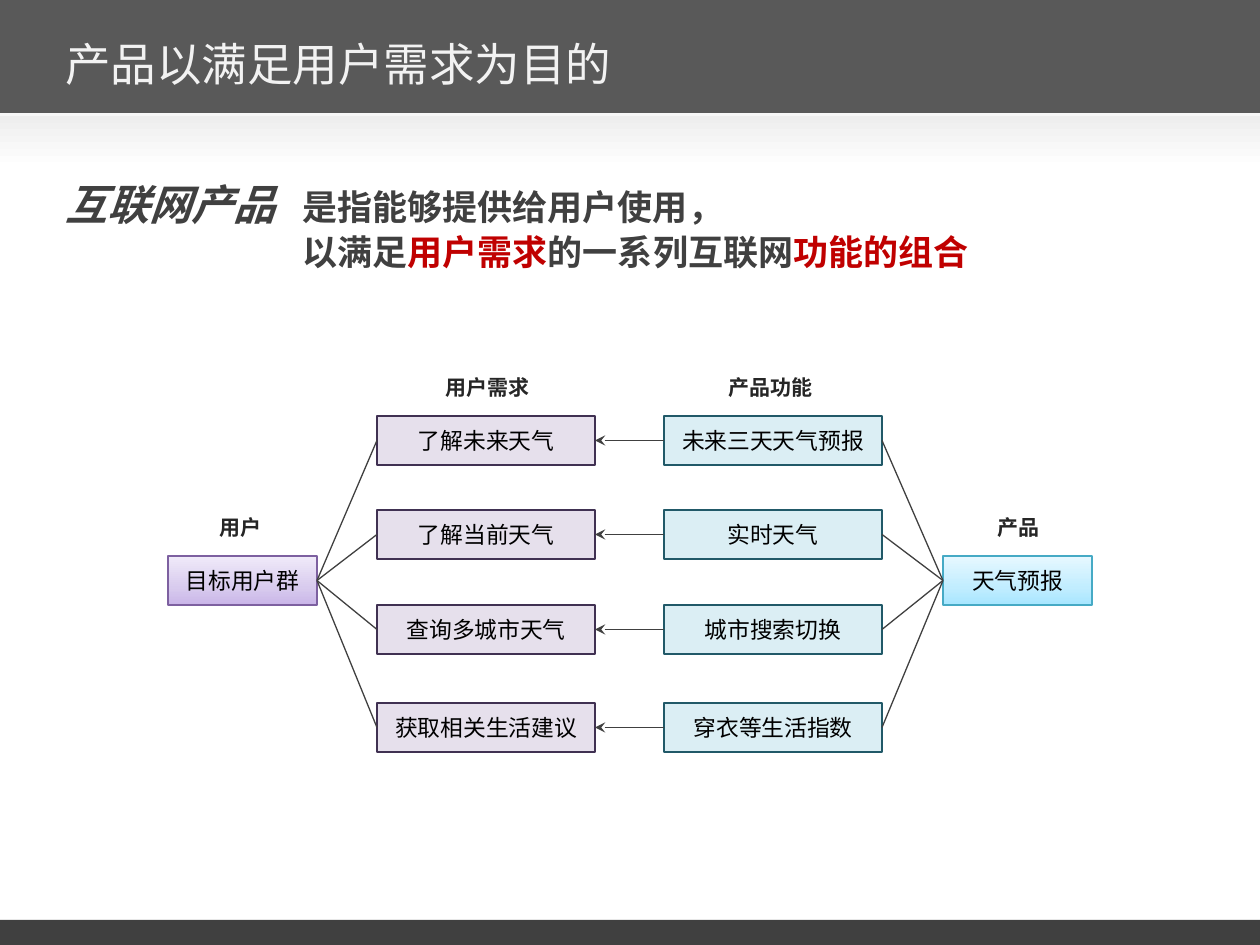
"""Build the slide on internet products serving user needs."""
import lxml.etree
import pptx
import pptx.dml.color
import pptx.enum.shapes
import pptx.enum.text
import pptx.oxml.ns
import pptx.util

PX = pptx.util.Inches(1) / 126
SANS, MONO = "Noto Sans CJK SC", "DejaVu Sans Mono"
COLORS = {
    "pale": "F7F7F7", "bar": "595959", "dark": "404040", "title": "F2F2F2",
    "label": "262626", "black": "000000", "red": "C00000",
    "need": "E6E0EC", "need_line": "403152",
    "feature": "DBEEF4", "feature_line": "215968",
    "user_line": "7D60A0", "product_line": "46AAC5",
}
SHADE = [(0, "EEEEEE"), (100, "FFFFFF")]
USER_FILL = [(0, "C9B5E8"), (35, "D8CBEE"), (100, "F0EAF9")]
PRODUCT_FILL = [(0, "A7E6FF"), (35, "C1EDFF"), (100, "E7F8FF")]

TITLE = "产品以满足用户需求为目的"
DEFINITION = [
    [("互联网产品", {"size": 24, "italic": True}), ("\t是指能够提供给用户使用，", {})],
    [("\t以满足", {}), ("用户需求", {"color": "red"}),
     ("的一系列互联网", {}), ("功能的组合", {"color": "red"})],
]
PAIRS = [
    ("了解未来天气", "未来三天天气预报"),
    ("了解当前天气", "实时天气"),
    ("查询多城市天气", "城市搜索切换"),
    ("获取相关生活建议", "穿衣等生活指数"),
]
ROW_TOPS = [416, 510, 605, 703]
NEED_LEFT, FEATURE_LEFT, BOX_WIDTH, BOX_HEIGHT = 377, 664, 218, 49
USER_LEFT, PRODUCT_LEFT, END_WIDTH, END_TOP = 168, 943, 149, 556
LABELS = [
    ("用户需求", 388, 368, 199), ("产品功能", 671, 368, 199),
    ("用户", 167, 508, 147), ("产品", 945, 508, 147),
]


def px(value):
    return round(value * PX)


def rgb(name):
    return pptx.dml.color.RGBColor.from_string(COLORS[name])


def add_child(parent, tag, **attributes):
    return lxml.etree.SubElement(parent, pptx.oxml.ns.qn(tag), attributes)


def write_text(shape, paragraphs, size=13, color="black", font=SANS, bold=False,
               align="CENTER", anchor="MIDDLE", spacing=None, tab=None):
    frame = shape.text_frame
    frame.word_wrap = True
    frame.vertical_anchor = getattr(pptx.enum.text.MSO_ANCHOR, anchor)
    if isinstance(paragraphs, str):
        paragraphs = [[(paragraphs, {})]]
    for index, runs in enumerate(paragraphs):
        paragraph = frame.add_paragraph() if index else frame.paragraphs[0]
        paragraph.alignment = getattr(pptx.enum.text.PP_ALIGN, align)
        if spacing:
            paragraph.line_spacing = spacing
        if tab:
            tabs = add_child(paragraph._p.get_or_add_pPr(), "a:tabLst")
            add_child(tabs, "a:tab", pos=str(px(tab)), algn="l")
        for text, changes in runs:
            run = paragraph.add_run()
            run.text = text
            run.font.size = pptx.util.Pt(changes.get("size", size))
            run.font.bold = bold
            run.font.italic = changes.get("italic", False)
            run.font.color.rgb = rgb(changes.get("color", color))
            run.font.name = font
            add_child(run._r.get_or_add_rPr(), "a:ea", typeface=SANS)


def add_box(slide, left, top, width, height, fill, angle=90, line=None, weight=1):
    shape = slide.shapes.add_shape(pptx.enum.shapes.MSO_SHAPE.RECTANGLE,
                                   px(left), px(top), px(width), px(height))
    shape.shadow.inherit = False
    if isinstance(fill, str):
        shape.fill.solid()
        shape.fill.fore_color.rgb = rgb(fill)
    else:
        shape.fill.gradient()
        shape.fill.gradient_angle = angle
        stops = shape._element.spPr.find(".//" + pptx.oxml.ns.qn("a:gsLst"))
        for stop in list(stops):
            stops.remove(stop)
        for position, color in fill:
            stop = add_child(stops, "a:gs", pos=str(position * 1000))
            add_child(stop, "a:srgbClr", val=color)
    if line:
        shape.line.color.rgb = rgb(line)
        shape.line.width = pptx.util.Pt(weight)
    else:
        shape.line.fill.background()
    return shape


def add_text_box(slide, left, top, width, height, text, **text_format):
    shape = slide.shapes.add_textbox(px(left), px(top), px(width), px(height))
    write_text(shape, text, **text_format)
    return shape


def connect(slide, start, end, arrow=False):
    connector = slide.shapes.add_connector(
        pptx.enum.shapes.MSO_CONNECTOR.STRAIGHT, 0, 0, 0, 0)
    connector.begin_connect(start, 3)
    connector.end_connect(end, 1)
    connector.line.color.rgb = rgb("dark")
    connector.line.width = pptx.util.Pt(0.75)
    if arrow:
        add_child(connector.line._get_or_add_ln(), "a:headEnd", type="stealth")
    add_child(connector._element.spPr, "a:effectLst")


def main():
    presentation = pptx.Presentation()
    presentation.slide_width, presentation.slide_height = px(1260), px(945)
    slide = presentation.slides.add_slide(presentation.slide_layouts[6])

    add_box(slide, 0, 0, 1260, 126, "pale")
    add_box(slide, 0, 920, 1260, 25, "dark")
    add_box(slide, 0, 0, 1260, 113, "bar")
    add_box(slide, 0, 116, 1260, 53, SHADE, angle=270)
    add_text_box(slide, 53, 21, 1018, 84, TITLE, size=26, color="title",
                 font=MONO, align="LEFT")
    definition = add_text_box(slide, 53, 168, 1155, 158, DEFINITION, size=20,
                              color="dark", bold=True, align="LEFT",
                              anchor="TOP", spacing=1.05, tab=237)
    definition.text_frame.margin_top = px(8)

    user = add_box(slide, USER_LEFT, END_TOP, END_WIDTH, BOX_HEIGHT,
                   USER_FILL, line="user_line", weight=0.75)
    write_text(user, "目标用户群")
    product = add_box(slide, PRODUCT_LEFT, END_TOP, END_WIDTH, BOX_HEIGHT,
                      PRODUCT_FILL, line="product_line")
    write_text(product, "天气预报")
    for top, (need_text, feature_text) in zip(ROW_TOPS, PAIRS):
        need = add_box(slide, NEED_LEFT, top, BOX_WIDTH, BOX_HEIGHT,
                       "need", line="need_line")
        write_text(need, need_text)
        feature = add_box(slide, FEATURE_LEFT, top, BOX_WIDTH, BOX_HEIGHT,
                          "feature", line="feature_line")
        write_text(feature, feature_text)
        connect(slide, need, feature, arrow=True)
        connect(slide, user, need)
        connect(slide, feature, product)
    for text, left, top, width in LABELS:
        add_text_box(slide, left, top, width, 38, text, size=12,
                     color="label", bold=True, anchor="TOP")

    presentation.save("out.pptx")


if __name__ == "__main__":
    main()
